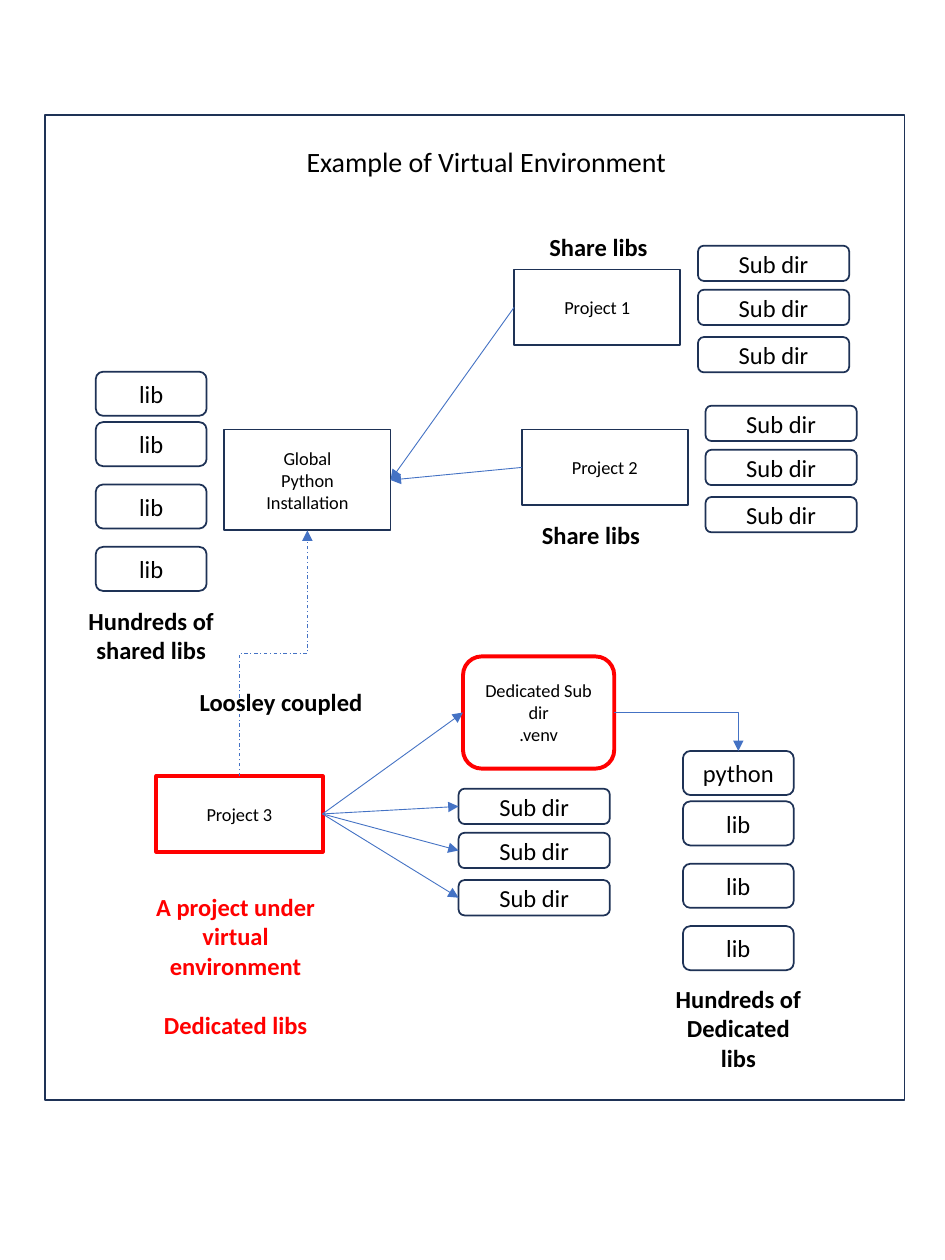
from dataclasses import dataclass

from lxml.etree import SubElement as sub_el
from pptx import Presentation
from pptx.dml.color import RGBColor as Rgb
from pptx.enum.dml import MSO_LINE_DASH_STYLE as Dash
from pptx.enum.shapes import MSO_CONNECTOR as Link, MSO_SHAPE as Form
from pptx.enum.text import MSO_ANCHOR as Anchor, MSO_AUTO_SIZE as Fit, PP_ALIGN as Align
from pptx.oxml.ns import qn
from pptx.util import Inches, Pt


@dataclass(frozen=True)
class Theme:
    font: str = "Calibri"
    ink: Rgb = Rgb(0, 0, 0)
    navy: Rgb = Rgb(0x1E, 0x32, 0x56)
    blue: Rgb = Rgb(0x44, 0x72, 0xC4)
    red: Rgb = Rgb(0xFF, 0, 0)
    small: float = 10.5
    body: float = 14
    title: float = 16
    thin: float = 0.5
    edge: float = 1
    thick: float = 2.25


LOOK = Theme()
COLS, ROWS = 75, 100            # grid over the whole slide
CELL = Inches(7.5) // COLS

SUB = (12, 2.8)                 # columns, rows
LIB = (8.8, 3.5)
PROJ = (13.2, 6)
SUB_STEPS = (0, 3.5, 7.25)      # rows below the top of a stack
LIB_STEPS = (0, 4, 8.95, 13.9)


def grid(*cells):
    return [round(c * CELL) for c in cells]


def write(frame, lines, size, color=LOOK.ink, bold=False, gap=0):
    """One centred paragraph per line; gap is the space between them."""
    frame.word_wrap = True
    for i, line in enumerate(lines):
        para = frame.add_paragraph() if i else frame.paragraphs[0]
        para.alignment = Align.CENTER
        if i and gap:
            para.space_before = Pt(gap)
        run = para.add_run()
        run.text = line
        font = run.font
        font.name, font.size, font.bold = LOOK.font, Pt(size), bold
        font.color.rgb = color


def box(page, col, row, size, lines=(), form=Form.RECTANGLE,
        points=LOOK.small, edge=LOOK.navy, width=LOOK.edge):
    shape = page.shapes.add_shape(form, *grid(col, row, *size))
    shape.shadow.inherit = False
    shape.fill.background()
    shape.line.color.rgb = edge
    shape.line.width = Pt(width)
    shape.text_frame.vertical_anchor = Anchor.MIDDLE
    write(shape.text_frame, lines, points)
    return shape


def stack(page, col, row, size, steps, words):
    return [box(page, col, row + step, size, [word],
                Form.ROUNDED_RECTANGLE, LOOK.body)
            for step, word in zip(steps, words)]


def label(page, col, row, size, lines, points=LOOK.body, bold=True, **more):
    text = page.shapes.add_textbox(*grid(col, row, *size))
    write(text.text_frame, lines, points, bold=bold, **more)
    text.text_frame.auto_size = Fit.SHAPE_TO_FIT_TEXT


def arrow(page, kind, start, end, dash=None):
    link = page.shapes.add_connector(kind, *start, *end)
    link.line.color.rgb = LOOK.blue
    link.line.width = Pt(LOOK.thin)
    if dash:
        link.line.dash_style = dash
    props = link.element.spPr
    sub_el(props.find(qn("a:ln")), qn("a:tailEnd"), type="triangle")
    sub_el(props, qn("a:effectLst"))
    return link


def join(page, start, exit, end, entry):
    link = arrow(page, Link.STRAIGHT, (0, 0), (0, 0))
    link.begin_connect(start, exit)
    link.end_connect(end, entry)


def mid(shape, side):
    """Middle of a side: 0 top, 1 left, 2 bottom, 3 right."""
    x, y, w, h = shape.left, shape.top, shape.width, shape.height
    return [(x + w // 2, y), (x, y + h // 2),
            (x + w // 2, y + h), (x + w, y + h // 2)][side]


def bend(page, start, end):
    """One corner: across, then down."""
    link = arrow(page, Link.ELBOW, mid(start, 3), mid(end, 0))
    link.element.spPr.find(qn("a:prstGeom")).set("prst", "bentConnector2")


def climb(page, start, end):
    """Two corners: up, across, up; an elbow turned a quarter."""
    (x1, y1), (x2, y2) = mid(start, 0), mid(end, 2)
    cx, cy = (x1 + x2) // 2, (y1 + y2) // 2
    dx, dy = (y1 - y2) // 2, (x2 - x1) // 2
    link = arrow(page, Link.ELBOW, (cx + dx, cy + dy), (cx - dx, cy - dy),
                 Dash.DASH_DOT)
    link.rotation = 90 if hasattr(link, "rotation") else None
    link.element.spPr.find(qn("a:xfrm")).set("rot", str(90 * 60000))


def main():
    deck = Presentation()
    deck.slide_width, deck.slide_height = COLS * CELL, ROWS * CELL
    page = deck.slides.add_slide(deck.slide_layouts[6])

    # Global installation and its shared libs
    core = box(page, 17.8, 34.1, (13.2, 8), ["Global", "Python", "Installation"])
    stack(page, 7.6, 29.5, LIB, LIB_STEPS, ["lib"] * 4)

    # Projects that share libs
    for name, col, row in (("Project 1", 40.8, 21.4), ("Project 2", 41.4, 34.1)):
        proj = box(page, col, row, PROJ, [name])
        stack(page, col + 14.6, row - 1.9, SUB, SUB_STEPS, ["Sub dir"] * 3)
        join(page, proj, 1, core, 3)

    # Project under a virtual environment
    own = box(page, 12.4, 61.6, PROJ, ["Project 3"],
              edge=LOOK.red, width=LOOK.thick)
    venv = box(page, 36.75, 52.1, (12, 8.9), ["Dedicated Sub dir", ".venv"],
               Form.ROUNDED_RECTANGLE, edge=LOOK.red, width=LOOK.thick)
    subs = stack(page, 36.4, 62.6, SUB, SUB_STEPS, ["Sub dir"] * 3)
    libs = stack(page, 54.2, 59.6, LIB, LIB_STEPS, ["python"] + ["lib"] * 3)
    for goal in (venv, *subs):
        join(page, own, 3, goal, 1)
    bend(page, venv, libs[0])
    climb(page, own, core)

    # Title and labels
    label(page, 13.3, 11, (50.6, 3.7), ["Example of Virtual Environment"],
          LOOK.title, False)
    for col, row, high, lines in (
            (3.6, 47.6, 5.7, ["Hundreds of shared libs"]),
            (39.1, 17.9, 3.4, ["Share libs"]),
            (38.5, 40.8, 3.4, ["Share libs"]),
            (50.2, 77.6, 8.1, ["Hundreds of", "Dedicated", "libs"]),
            (13.9, 54, 3.4, ["Loosley coupled"])):
        label(page, col, row, (16.8, high), lines)
    label(page, 10.3, 70.3, (16.8, 12.8),
          ["A project under virtual environment", "Dedicated libs"],
          color=LOOK.red, gap=17)

    # Frame
    box(page, 3.6, 9.1, (68.2, 78.2))
    deck.save("out.pptx")


if __name__ == "__main__":
    main()
